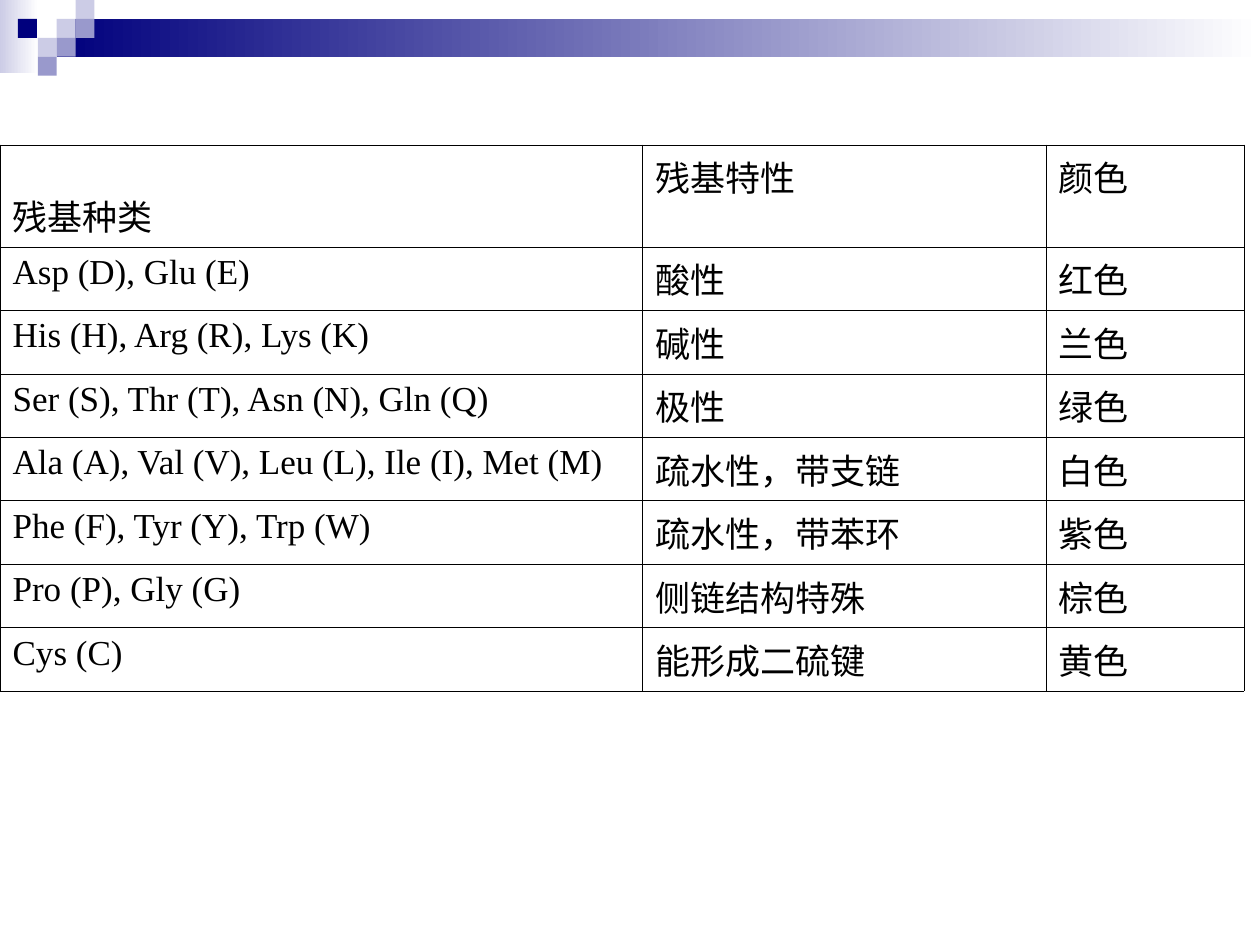
from lxml import etree
from pptx import Presentation
from pptx.dml.color import RGBColor
from pptx.enum.shapes import MSO_SHAPE
from pptx.enum.text import MSO_ANCHOR
from pptx.oxml.ns import qn
from pptx.util import Pt

RECTANGLE = MSO_SHAPE.RECTANGLE
TOP, BOTTOM = MSO_ANCHOR.TOP, MSO_ANCHOR.BOTTOM
BLANK_LAYOUT = 6

COLORS = {
    "navy": "00007D",
    "lilac": "9999CC",
    "pale": "CCCCE6",
    "white": "FFFFFF",
    "black": "000000",
}

SQUARE = 10.8  # side of one square, also the pitch of their grid
# Column, row and colour of each square; the navy one sits slightly left
SQUARES = [
    (3, 1, "pale"),
    (4, 0, "pale"),
    (4, 1, "lilac"),
    (2, 2, "pale"),
    (0.95, 1, "navy"),
    (3, 2, "lilac"),
    (2, 3, "lilac"),
]

COLUMN_WIDTHS = [367.2, 230.4, 113.2]
HEADER_HEIGHT, ROW_HEIGHT = 58.3, 36.2
RESIDUES = [
    ("残基种类", "残基特性", "颜色"),
    ("Asp (D), Glu (E)", "酸性", "红色"),
    ("His (H), Arg (R), Lys (K)", "碱性", "兰色"),
    ("Ser (S), Thr (T), Asn (N), Gln (Q)", "极性", "绿色"),
    ("Ala (A), Val (V), Leu (L), Ile (I), Met (M)", "疏水性，带支链", "白色"),
    ("Phe (F), Tyr (Y), Trp (W)", "疏水性，带苯环", "紫色"),
    ("Pro (P), Gly (G)", "侧链结构特殊", "棕色"),
    ("Cys (C)", "能形成二硫键", "黄色"),
]


def rgb(name):
    return RGBColor.from_string(COLORS[name])


def write_text(paragraph, text, *, font, size, color):
    run = paragraph.add_run()
    run.text = text
    run.font.name = font
    run.font.size = Pt(size)
    run.font.color.rgb = rgb(color)


class SlideBuilder:
    font = "Times New Roman"
    text_size = 20
    border_width = 0.34

    def __init__(self, slide):
        self.slide = slide

    def group(self):
        return self.slide.shapes.add_group_shape()

    def rectangle(self, group, left, top, width, height, color, fade_to=None):
        shape = group.shapes.add_shape(
            RECTANGLE, Pt(left), Pt(top), Pt(width), Pt(height))
        shape.shadow.inherit = False
        shape.line.fill.background()
        if fade_to is None:
            shape.fill.solid()
            shape.fill.fore_color.rgb = rgb(color)
            return
        shape.fill.gradient()
        shape.fill.gradient_angle = 0
        stops = zip(shape.fill.gradient_stops, (color, fade_to), (0, 1))
        for stop, stop_color, position in stops:
            stop.color.rgb = rgb(stop_color)
            stop.position = position

    def border(self, cell, color):
        properties = cell._tc.get_or_add_tcPr()
        for side in ("a:lnL", "a:lnR", "a:lnT", "a:lnB"):
            line = etree.SubElement(
                properties, qn(side), w=str(int(Pt(self.border_width))))
            fill = etree.SubElement(line, qn("a:solidFill"))
            etree.SubElement(fill, qn("a:srgbClr"), val=COLORS[color])

    def table(self, left, top, widths, heights, rows):
        frame = self.slide.shapes.add_table(
            len(rows), len(widths), Pt(left), Pt(top),
            Pt(sum(widths)), Pt(sum(heights)))
        table = frame.table
        table.first_row = table.horz_banding = False
        for column, width in zip(table.columns, widths):
            column.width = Pt(width)
        for row, height, texts in zip(table.rows, heights, rows):
            row.height = Pt(height)
            for cell, text in zip(row.cells, texts):
                self.border(cell, "black")
                cell.fill.background()
                cell.vertical_anchor = TOP
                write_text(cell.text_frame.paragraphs[0], text, font=self.font,
                           size=self.text_size, color="black")
        return table


def main():
    presentation = Presentation()
    presentation.slide_width, presentation.slide_height = Pt(720), Pt(540)
    layout = presentation.slide_layouts[BLANK_LAYOUT]
    builder = SlideBuilder(presentation.slides.add_slide(layout))

    # Header band with its squares
    header = builder.group()
    builder.rectangle(header, 0, 0, 22, 41.8, "pale", fade_to="white")
    builder.rectangle(header, 3 * SQUARE, SQUARE, 720 - 3 * SQUARE, 2 * SQUARE,
                      "navy", fade_to="white")
    for column, row, color in SQUARES:
        builder.rectangle(header, column * SQUARE, row * SQUARE,
                          SQUARE, SQUARE, color)

    # Residue table; its first heading sits at the foot of the cell
    heights = [HEADER_HEIGHT] + [ROW_HEIGHT] * (len(RESIDUES) - 1)
    table = builder.table(0, 82.8, COLUMN_WIDTHS, heights, RESIDUES)
    table.cell(0, 0).vertical_anchor = BOTTOM

    presentation.save("out.pptx")


if __name__ == "__main__":
    main()
